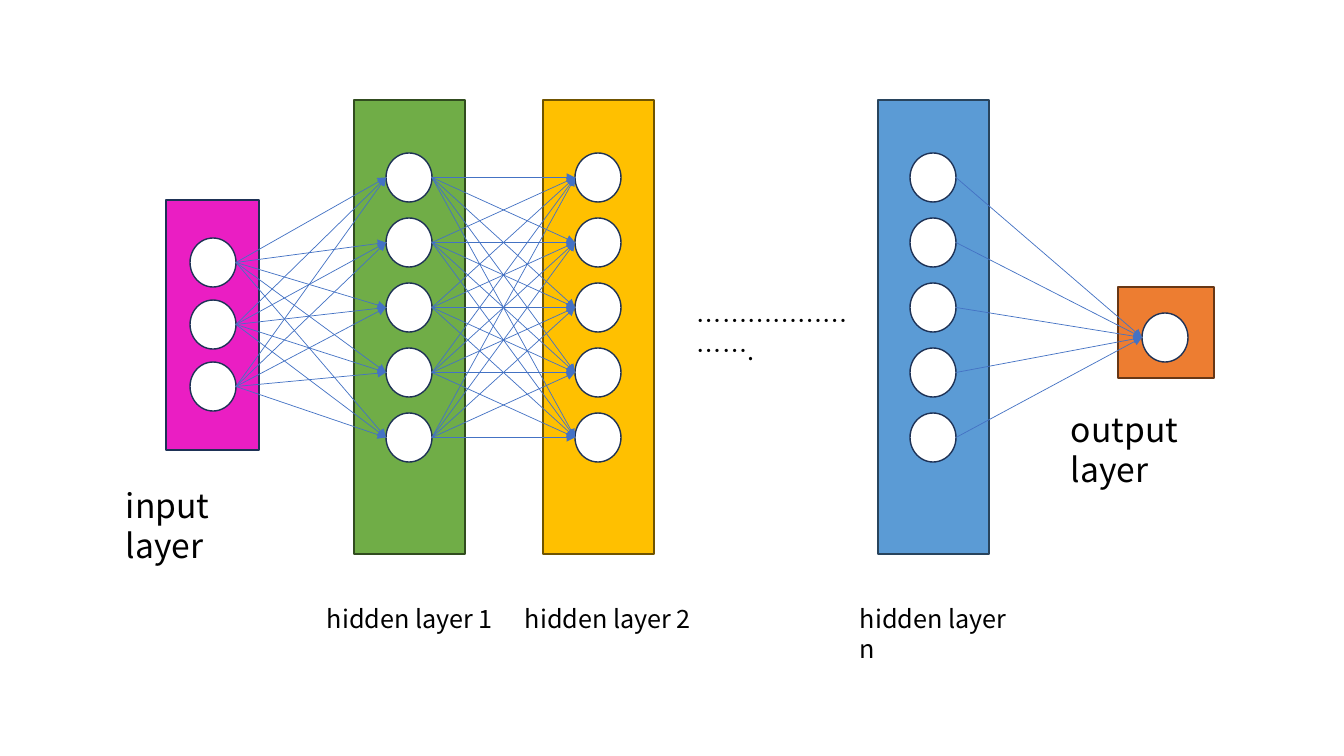
from lxml import etree
from pptx import Presentation
from pptx import util as u
from pptx.dml.color import RGBColor
from pptx.enum import shapes, text
from pptx.oxml import ns

PX = u.Inches(1) / 100.8
FONT = "Noto Sans CJK KR"
BLACK = RGBColor(0x00, 0x00, 0x00)
WHITE = RGBColor(0xFF, 0xFF, 0xFF)
NAVY = RGBColor(0x1E, 0x32, 0x56)
ARROW_BLUE = RGBColor(0x44, 0x72, 0xC4)
MAGENTA = RGBColor(0xEA, 0x1E, 0xC3)
GREEN = RGBColor(0x70, 0xAD, 0x47)
DARK_GREEN = RGBColor(0x31, 0x4C, 0x1F)
YELLOW = RGBColor(0xFF, 0xC0, 0x00)
DARK_YELLOW = RGBColor(0x70, 0x54, 0x00)
BLUE = RGBColor(0x5B, 0x9B, 0xD5)
DARK_BLUE = RGBColor(0x28, 0x44, 0x5D)
ORANGE = RGBColor(0xED, 0x7D, 0x31)
DARK_ORANGE = RGBColor(0x68, 0x37, 0x15)
NEURON_WIDTH, NEURON_HEIGHT = 46, 49


def emu(*lengths):
    return [round(length * PX) for length in lengths]


def add_outlined(kind, box, fill, line):
    shape = slide.shapes.add_shape(kind, *emu(*box))
    shape.shadow.inherit = False
    shape.fill.solid()
    shape.fill.fore_color.rgb = fill
    shape.line.color.rgb = line
    shape.line.width = u.Pt(1)


presentation = Presentation()
presentation.slide_width, presentation.slide_height = emu(1344, 756)
slide = presentation.slides.add_slide(presentation.slide_layouts[6])

# Layers: box, fill, outline, left of neurons, top of first neuron, pitch, count
layers = {
    "input": ((166, 200, 93, 250), MAGENTA, NAVY, 190, 238, 62, 3),
    "hidden 1": ((354, 100, 111, 454), GREEN, DARK_GREEN, 386, 153, 65, 5),
    "hidden 2": ((543, 100, 111, 454), YELLOW, DARK_YELLOW, 575, 153, 65, 5),
    "hidden n": ((878, 100, 111, 454), BLUE, DARK_BLUE, 910, 153, 65, 5),
    "output": ((1118, 287, 96, 91), ORANGE, DARK_ORANGE, 1142, 313, 0, 1),
}
neurons = {}
for name, (box, fill, line, left, top, pitch, count) in layers.items():
    add_outlined(shapes.MSO_SHAPE.RECTANGLE, box, fill, line)
    neurons[name] = [(left, top + pitch * row) for row in range(count)]
    for neuron in neurons[name]:
        add_outlined(shapes.MSO_SHAPE.OVAL, (*neuron, NEURON_WIDTH, NEURON_HEIGHT), WHITE, NAVY)

# Arrows from every neuron to every neuron of the next layer
for source, target in [("input", "hidden 1"), ("hidden 1", "hidden 2"), ("hidden n", "output")]:
    for start_left, start_top in neurons[source]:
        for end_left, end_top in neurons[target]:
            arrow = slide.shapes.add_connector(
                shapes.MSO_CONNECTOR.STRAIGHT,
                *emu(start_left + NEURON_WIDTH, start_top + NEURON_HEIGHT / 2,
                     end_left, end_top + NEURON_HEIGHT / 2))
            arrow.line.color.rgb = ARROW_BLUE
            arrow.line.width = u.Pt(0.5)
            etree.SubElement(arrow.line._get_or_add_ln(), ns.qn("a:tailEnd"), type="triangle")
            etree.SubElement(arrow._element.spPr, ns.qn("a:effectLst"))

# Labels: wording, box, size in points
labels = [
    ("input layer", (116, 480, 184, 50), 24),
    ("…………………….", (687, 300, 177, 40), 18),
    ("hidden layer 1", (317, 598, 187, 40), 18),
    ("hidden layer 2", (515, 598, 187, 40), 18),
    ("hidden layer n", (850, 598, 187, 40), 18),
    ("output layer", (1061, 404, 209, 50), 24),
]
for wording, box, size in labels:
    frame = slide.shapes.add_textbox(*emu(*box)).text_frame
    frame.word_wrap = True
    frame.auto_size = text.MSO_AUTO_SIZE.SHAPE_TO_FIT_TEXT
    run = frame.paragraphs[0].add_run()
    run.text = wording
    for attribute, value in {"name": FONT, "size": u.Pt(size)}.items():
        setattr(run.font, attribute, value)
    run.font.color.rgb = BLACK
    etree.SubElement(run.font._element, ns.qn("a:ea"), typeface=FONT)

presentation.save("out.pptx")
